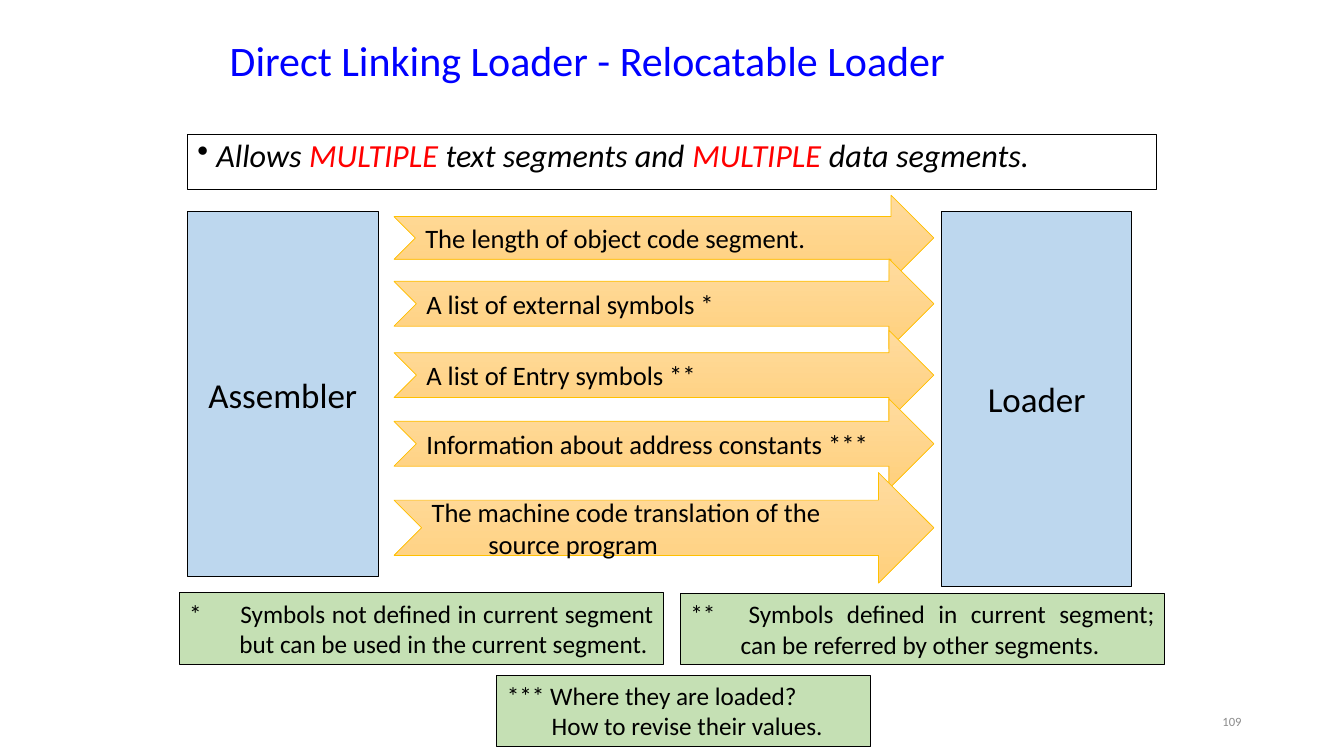
import pptx
import pptx.util
import pptx.dml.color
import pptx.enum.shapes
import pptx.enum.text
import pptx.oxml

Pt = pptx.util.Pt
ALIGN = pptx.enum.text.PP_ALIGN
ANCHOR = pptx.enum.text.MSO_ANCHOR
SHAPE = pptx.enum.shapes.MSO_SHAPE
NS = 'xmlns:a="http://schemas.openxmlformats.org/drawingml/2006/main"'
BLACK, RED, BLUE, GREY = "000000", "FF0000", "0000FF", "8C8C8C"
PALE_BLUE, PALE_GREEN, GOLD = "BDD7EE", "C5E0B4", "FFC000"


def rgb(value):
    """Turn a hex string into a colour."""
    return pptx.dml.color.RGBColor.from_string(value)


def set_attrs(obj, values):
    """Set attributes from a dict of format values."""
    for name, value in values.items():
        setattr(obj, name, value)


def add_box(s, box, shape=SHAPE.RECTANGLE, fill=None, line=BLACK, width=0.75):
    """Add an outlined shape in the box, with a plain fill or none."""
    sp = s.shapes.add_shape(shape, *map(Pt, box))
    sp.shadow.inherit = False
    if fill:
        sp.fill.solid()
        sp.fill.fore_color.rgb = rgb(fill)
    else:
        sp.fill.background()
    sp.line.color.rgb = rgb(line)
    sp.line.width = Pt(width)
    return sp


def add_paragraph(tf, runs, size, align=ALIGN.LEFT, hang=0, left=0,
                  italic=False, bullet=None, spacing=1.0):
    """Add a paragraph of (text, colour) runs to the text frame."""
    p = tf.paragraphs[0]
    if p.runs:
        p = tf.add_paragraph()
    set_attrs(p, {"alignment": align, "line_spacing": spacing})
    pPr = p._p.get_or_add_pPr()
    pPr.set("marL", str(Pt(left + hang)))
    pPr.set("indent", str(-Pt(hang)))
    if bullet:
        pPr.append(pptx.oxml.parse_xml(f'<a:buChar {NS} char="{bullet}"/>'))
    for text, color in runs:
        r = p.add_run()
        r.text = text
        set_attrs(r.font, {"name": "Calibri", "size": Pt(size), "italic": italic})
        r.font.color.rgb = rgb(color)


def add_label(s, box, text, size, color, align=ALIGN.LEFT, spacing=1.0):
    """Add a text box with one vertically centred line."""
    tf = s.shapes.add_textbox(*map(Pt, box)).text_frame
    set_attrs(tf, {"word_wrap": True, "vertical_anchor": ANCHOR.MIDDLE})
    add_paragraph(tf, [(text, color)], size, align, spacing=spacing)


def add_statement(s, box):
    """Add the outlined bullet under the title."""
    tf = add_box(s, box).text_frame
    set_attrs(tf, {"word_wrap": True, "vertical_anchor": ANCHOR.TOP})
    runs = [("Allows ", BLACK), ("MULTIPLE", RED), (" text segments and ", BLACK),
            ("MULTIPLE ", RED), ("data segments.", BLACK)]
    add_paragraph(tf, runs, 23, ALIGN.JUSTIFY, hang=13.5, italic=True,
                  bullet="•", spacing=0.9)


def add_program(s, box, name):
    """Add one of the two tall program blocks."""
    tf = add_box(s, box, fill=PALE_BLUE, width=0.5).text_frame
    set_attrs(tf, {"word_wrap": True, "vertical_anchor": ANCHOR.MIDDLE})
    add_paragraph(tf, [(name, BLACK)], 25, ALIGN.CENTER)


def add_arrow(s, box, text):
    """Add a notched arrow with a gradient fill and a hanging text."""
    sp = add_box(s, box, SHAPE.NOTCHED_RIGHT_ARROW, line=GOLD, width=0.5)
    sp.fill.gradient()
    sp.fill.gradient_angle = 270
    for stop, color in zip(sp.fill.gradient_stops, ("FFDB9E", "FFD07C")):
        stop.color.rgb = rgb(color)
    tf = sp.text_frame
    set_attrs(tf, {"word_wrap": True, "vertical_anchor": ANCHOR.MIDDLE})
    add_paragraph(tf, [(text, BLACK)], 19, hang=40.5)


def add_transfers(s, box):
    """Add the arrows that carry information between the programs."""
    left, top, width = box
    for offset, height, text in [
        (0, 61, "The length of object code segment."),
        (45.5, 64, "A list of external symbols *"),
        (96.5, 64, "A list of Entry symbols **"),
        (145.5, 64, "Information about address constants ***"),
        (198, 79, "The machine code translation of the source program"),
    ]:
        add_arrow(s, (left, top + offset, width, height), text)


def add_footnote(s, box, lines):
    """Add a green note; lines after the first are indented."""
    tf = add_box(s, box, fill=PALE_GREEN).text_frame
    set_attrs(tf, {"word_wrap": True, "vertical_anchor": ANCHOR.TOP})
    for i, text in enumerate(lines):
        layout = {"left": 32} if i else {"hang": 36}
        add_paragraph(tf, [(text, BLACK)], 18, ALIGN.JUSTIFY, **layout)


def main():
    """Build the slide and save it."""
    prs = pptx.Presentation()
    set_attrs(prs, {"slide_width": Pt(960), "slide_height": Pt(540)})
    s = prs.slides.add_slide(prs.slide_layouts[6])
    add_label(s, (157, 0, 648, 90), "Direct Linking Loader - Relocatable Loader",
              30, BLUE, spacing=0.9)
    add_statement(s, (134, 96, 692, 39.5))
    add_label(s, (678, 500.5, 216, 29), "109", 9, GREY, ALIGN.RIGHT)
    add_footnote(s, (355, 482.5, 266.5, 51),
                 ["*** Where they are loaded?", "How to revise their values."])
    add_program(s, (134, 151, 136, 261), "Assembler")
    add_program(s, (672.5, 151, 136, 268), "Loader")
    add_transfers(s, (281.5, 139.5, 385.5))
    add_footnote(s, (128, 423.5, 346, 51),
                 ["* \tSymbols not defined in current segment but can be used "
                  "in the current segment."])
    add_footnote(s, (486, 424, 346, 51),
                 ["** \tSymbols defined in current segment; can be referred by "
                  "other segments."])
    prs.save("out.pptx")


if __name__ == "__main__":
    main()
